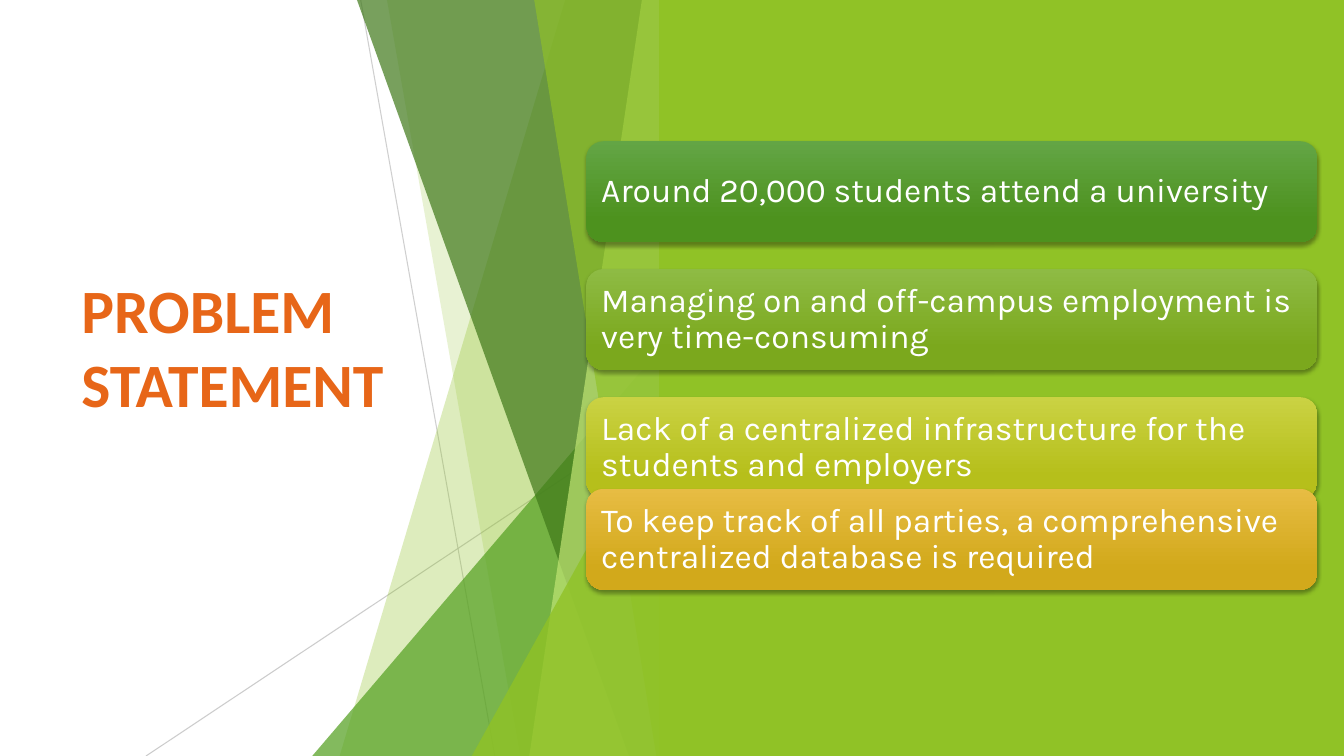
"""Build the problem statement slide: title, green facets and four statement cards."""
from lxml.etree import SubElement
from pptx import Presentation
from pptx.dml.color import RGBColor
from pptx.enum.shapes import MSO_CONNECTOR, MSO_SHAPE
from pptx.enum.text import MSO_ANCHOR, MSO_AUTO_SIZE, PP_ALIGN
from pptx.oxml.ns import qn
from pptx.util import Cm, Pt

STRAIGHT = MSO_CONNECTOR.STRAIGHT
RECTANGLE, ROUNDED, TRIANGLE = MSO_SHAPE.RECTANGLE, MSO_SHAPE.ROUNDED_RECTANGLE, MSO_SHAPE.ISOSCELES_TRIANGLE
MIDDLE, LEFT, NO_AUTOFIT = MSO_ANCHOR.MIDDLE, PP_ALIGN.LEFT, MSO_AUTO_SIZE.NONE

WHITE = RGBColor(0xFF, 0xFF, 0xFF)
ORANGE = RGBColor(0xE7, 0x66, 0x18)
GRAY = RGBColor(0xBF, 0xBF, 0xBF)
LIME = RGBColor(0x90, 0xC2, 0x26)
PALE_LIME = RGBColor(0xC0, 0xE4, 0x74)
GREEN = RGBColor(0x54, 0xA0, 0x21)
DARK_GREEN = RGBColor(0x3F, 0x78, 0x19)

SLIDE_WIDTH, SLIDE_HEIGHT = 33.87, 19.05
FACET_TOP, FACET_RIGHT = -0.02, 16.92
PANEL_LEFT = 16.61
CARD_LEFT, CARD_WIDTH, CARD_HEIGHT = 14.78, 18.42, 2.54


def write(frame, text, size, font, color, bold=False, spacing=1.0, margin=0.25, bottom=0.25):
    frame.word_wrap = True
    frame.auto_size = NO_AUTOFIT
    frame.vertical_anchor = MIDDLE
    frame.margin_left = frame.margin_right = frame.margin_top = Cm(margin)
    frame.margin_bottom = Cm(bottom)
    paragraph = frame.paragraphs[0]
    paragraph.alignment = LEFT
    paragraph.line_spacing = spacing
    run = paragraph.add_run()
    run.text = text
    run.font.size = Pt(size)
    run.font.name = font
    run.font.bold = bold
    run.font.color.rgb = color


def set_opacity(shape, percent):
    for color in shape._element.spPr.iter(qn("a:srgbClr")):
        SubElement(color, qn("a:alpha"), val=str(percent * 1000))


presentation = Presentation()
presentation.slide_width = Cm(SLIDE_WIDTH)
presentation.slide_height = Cm(SLIDE_HEIGHT)
slide = presentation.slides.add_slide(presentation.slide_layouts[5])
shapes = slide.shapes

title = shapes.title
title.left, title.top, title.width, title.height = Cm(1.8), Cm(3.84), Cm(9.86), Cm(11.38)
write(title.text_frame, "PROBLEM STATEMENT", size=44, font="Calibri", color=ORANGE, bold=True, bottom=1.9)

for x1, y1, x2, y2, opacity in [
    (9.09, 0, 12.47, SLIDE_HEIGHT, 75),
    (FACET_RIGHT, 10.24, 3.68, SLIDE_HEIGHT, 80),
]:
    ray = shapes.add_connector(STRAIGHT, Cm(x1), Cm(y1), Cm(x2), Cm(y2))
    ray.line.color.rgb = GRAY
    ray.line.width = Pt(0.75)
    set_opacity(ray, opacity)
    SubElement(ray._element.spPr, qn("a:effectLst"))

facets = [
    ("band", 14.25, 8.56, LIME, 30),
    ("band", 9.75, 13.11, LIME, 20),
    ("corner", 7.87, 8.46, GREEN, 72),
    ("band", 8.99, 15.85, DARK_GREEN, 70),
    ("band", 16.18, 13.34, PALE_LIME, 70),
    ("band", 13.46, 16.54, LIME, 65),
    ("corner", 11.89, 9.98, LIME, 80),
]
for kind, first, second, color, opacity in facets:
    if kind == "band":
        outline = shapes.build_freeform(Cm(first), Cm(FACET_TOP))
        outline.add_line_segments([
            (Cm(FACET_RIGHT), Cm(FACET_TOP)),
            (Cm(FACET_RIGHT), Cm(SLIDE_HEIGHT)),
            (Cm(second), Cm(SLIDE_HEIGHT)),
        ])
        facet = outline.convert_to_shape()
    else:
        facet = shapes.add_shape(
            TRIANGLE, Cm(first), Cm(second), Cm(FACET_RIGHT - first), Cm(SLIDE_HEIGHT - second))
        facet.adjustments[0] = 1
    facet.shadow.inherit = False
    facet.fill.solid()
    facet.fill.fore_color.rgb = color
    facet.line.fill.background()
    set_opacity(facet, opacity)

panel = shapes.add_shape(RECTANGLE, Cm(PANEL_LEFT), 0, Cm(SLIDE_WIDTH - PANEL_LEFT), Cm(SLIDE_HEIGHT))
panel.shadow.inherit = False
panel.fill.solid()
panel.fill.fore_color.rgb = LIME
panel.line.fill.background()

statements = [
    (3.56, "63A545", "4D921E", "Around 20,000 students attend a university"),
    (6.78, "8EBB44", "7BA81D", "Managing on and off-campus employment is very time-consuming"),
    (10.01, "CAD243", "B6BF1B", "Lack of a centralized infrastructure for the students and employers"),
    (12.32, "E7BC43", "D2A91B",
     "To keep track of all parties, a comprehensive centralized database is required"),
]
for top, upper, lower, statement in statements:
    card = shapes.add_shape(ROUNDED, Cm(CARD_LEFT), Cm(top), Cm(CARD_WIDTH), Cm(CARD_HEIGHT))
    card.fill.gradient()
    card.fill.gradient_angle = 270
    for stop, shade, position in zip(card.fill.gradient_stops, (upper, lower), (0, 0.78)):
        stop.color.rgb = RGBColor.from_string(shade)
        stop.position = position
    card.line.fill.background()
    card.shadow.inherit = False
    effects = card._element.spPr.find(qn("a:effectLst"))
    shadow = SubElement(effects, qn("a:outerShdw"), blurRad=str(Pt(3)), dist=str(Pt(2)),
                        dir="5400000", rotWithShape="0")
    shadow_color = SubElement(shadow, qn("a:srgbClr"), val="000000")
    SubElement(shadow_color, qn("a:alpha"), val="35000")
    write(card.text_frame, statement, size=24, font="Karla", color=WHITE, spacing=0.9)

presentation.save("out.pptx")
